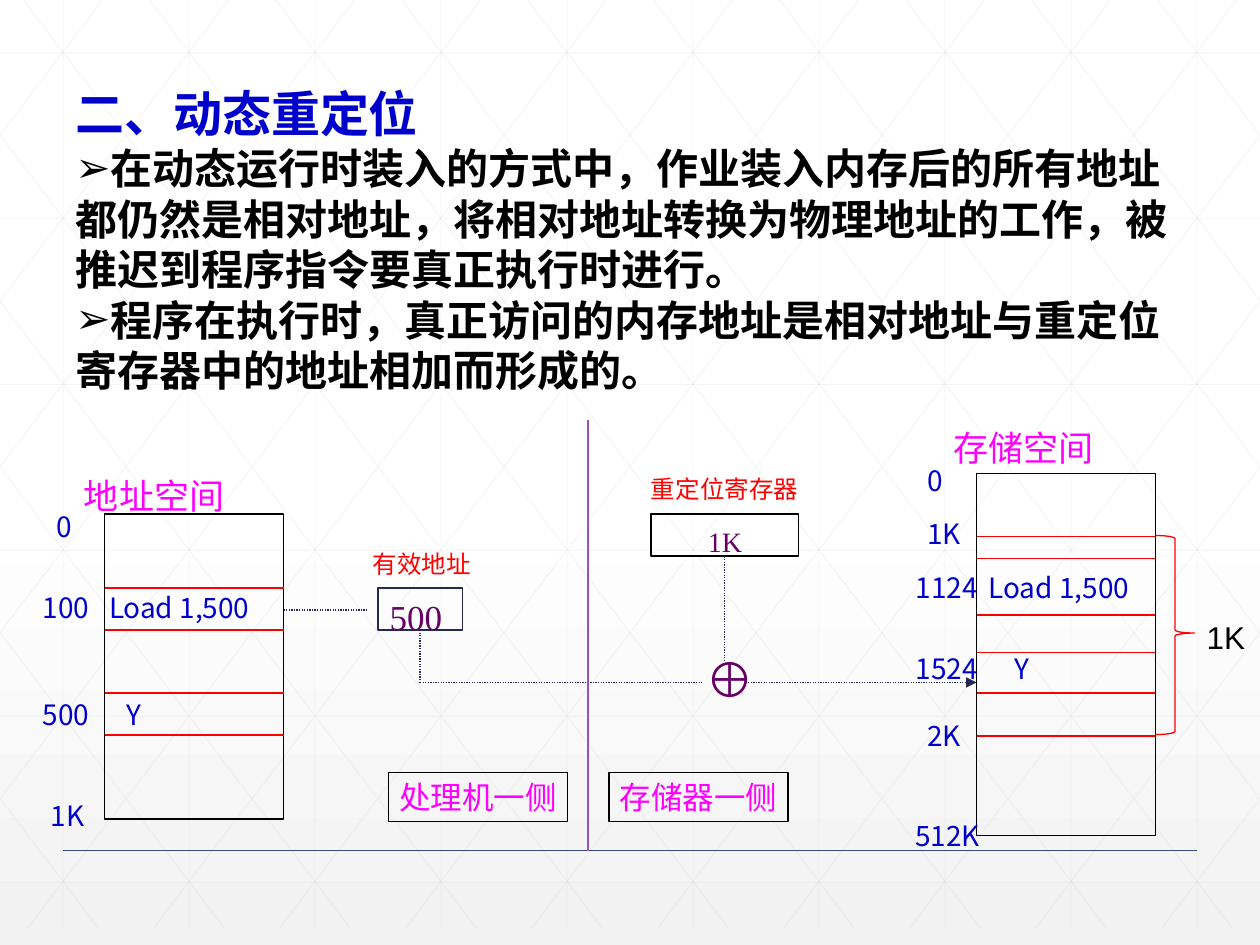
from lxml.etree import SubElement
from pptx import Presentation
from pptx.dml.color import RGBColor
from pptx.enum.dml import MSO_LINE
from pptx.enum.shapes import MSO_CONNECTOR, MSO_SHAPE
from pptx.enum.text import MSO_ANCHOR, PP_ALIGN
from pptx.oxml.ns import qn
from pptx.util import Pt

WHITE = RGBColor(0xFF, 0xFF, 0xFF)
PALE = RGBColor(0xF2, 0xF2, 0xF2)
GRID = RGBColor(0xD9, 0xD9, 0xD9)
BLACK = RGBColor(0x00, 0x00, 0x00)
BLUE = RGBColor(0x00, 0x00, 0xCC)
NAVY = RGBColor(0x24, 0x28, 0x52)
RULE = RGBColor(0x38, 0x4C, 0x81)
RED = RGBColor(0xFF, 0x00, 0x00)
MAGENTA = RGBColor(0xFF, 0x00, 0xFF)
PURPLE = RGBColor(0x66, 0x00, 0x66)
VIOLET = RGBColor(0x94, 0x54, 0xC3)
SANS = "Noto Sans CJK SC"
SERIF = "Times New Roman"
WIDTH, HEIGHT = 720, 540
GRID_BOTTOM = 530.64


def add_line(page, start, end, color, weight=0.75, dotted=False, arrow=False, alpha=None):
    line = page.shapes.add_connector(
        MSO_CONNECTOR.STRAIGHT, *(Pt(value) for value in (*start, *end)))
    line.line.color.rgb = color
    line.line.width = Pt(weight)
    if dotted:
        line.line.dash_style = MSO_LINE.ROUND_DOT
    properties = line._element.spPr
    outline = properties.find(qn("a:ln"))
    if arrow:
        SubElement(outline, qn("a:tailEnd"), type="triangle")
    if alpha:
        color_element = outline.find(qn("a:solidFill")).find(qn("a:srgbClr"))
        SubElement(color_element, qn("a:alpha"), val=str(alpha * 1000))
    SubElement(properties, qn("a:effectLst"))


def add_span(para, text, size, color, font=SANS, bold=False):
    span = para.add_run()
    span.text = text
    span.font.size = Pt(size)
    span.font.bold = bold
    span.font.color.rgb = color
    span.font.name = font
    SubElement(span._r.get_or_add_rPr(), qn("a:ea"), typeface=SANS)


def add_label(page, text, left, middle, size=16, color=BLUE, font=SANS,
              width=90, align=PP_ALIGN.LEFT):
    height = size * 1.5
    box = page.shapes.add_textbox(Pt(left), Pt(middle - height / 2), Pt(width), Pt(height))
    frame = box.text_frame
    frame.margin_left = frame.margin_right = frame.margin_top = frame.margin_bottom = 0
    frame.word_wrap = True
    frame.vertical_anchor = MSO_ANCHOR.MIDDLE
    para = frame.paragraphs[0]
    para.alignment = align
    add_span(para, text, size, color, font)


def add_outline(page, left, top, width, height, color=BLACK, kind=MSO_SHAPE.RECTANGLE):
    shape = page.shapes.add_shape(kind, Pt(left), Pt(top), Pt(width), Pt(height))
    shape.shadow.inherit = False
    shape.fill.background()
    shape.line.color.rgb = color
    shape.line.width = Pt(0.75)
    return shape


def add_side_name(page, text, left):
    frame = add_outline(page, left, 441.36, 102.24, 28.08).text_frame
    frame.word_wrap = False
    frame.vertical_anchor = MSO_ANCHOR.MIDDLE
    para = frame.paragraphs[0]
    para.alignment = PP_ALIGN.CENTER
    add_span(para, text, 18, MAGENTA, SERIF)


def add_memory(page, left, top, height, dividers, labels):
    add_outline(page, left, top, 102.24, height)
    for level in dividers:
        add_line(page, (left, level), (left + 102.24, level), RED)
    for text, label_left, middle in labels:
        add_label(page, text, label_left, middle)


def add_backdrop(page):
    fill = page.background.fill
    fill.gradient()
    fill.gradient_angle = 270
    for stop, position, color in zip(fill.gradient_stops, (0.53, 1), (WHITE, PALE)):
        stop.position = position
        stop.color.rgb = color
    segments = []
    for column in range(10):
        x = 36 + 72 * column
        segments.append(((x, 0), (x, GRID_BOTTOM)))
    for row in range(6):
        y = 30.24 + 94.75 * row
        segments.append(((0, y), (WIDTH, y)))
    slope = GRID_BOTTOM / 403
    for step in range(-5, 10):
        x = 13.4 + 72 * step
        first, last = max(x, 0), min(x + 403, WIDTH)
        top, bottom = (first - x) * slope, (last - x) * slope
        segments.append(((first, top), (last, bottom)))
        segments.append(((WIDTH - first, top), (WIDTH - last, bottom)))
    for start, end in segments:
        add_line(page, start, end, GRID, 0.5, alpha=25)
    add_line(page, (36, 486), (684, 486), RULE, 1)


def add_explanation(page):
    box = page.shapes.add_textbox(Pt(36), Pt(41.76), Pt(653.76), Pt(220.32))
    frame = box.text_frame
    frame.word_wrap = True
    title = frame.paragraphs[0]
    title.line_spacing = Pt(36)
    add_span(title, "二、动态重定位", 28, BLUE, bold=True)
    for text in (
        "在动态运行时装入的方式中，作业装入内存后的所有地址都仍然是相对地址，"
        "将相对地址转换为物理地址的工作，被推迟到程序指令要真正执行时进行。",
        "程序在执行时，真正访问的内存地址是相对地址与重定位寄存器中的地址相加而形成的。",
    ):
        para = frame.add_paragraph()
        para.line_spacing = Pt(28.9)
        properties = para._p.get_or_add_pPr()
        properties.set("marL", "0")
        properties.set("indent", "0")
        SubElement(properties, qn("a:buFont"), typeface="Arial")
        SubElement(properties, qn("a:buChar"), char="➢")
        add_span(para, text, 24, BLACK, bold=True)


def add_address_space(page):
    add_label(page, "地址空间", 48, 283, 20, MAGENTA)
    add_memory(page, 59.76, 293.76, 174.24, (336, 360, 396, 420), (
        ("0", 32.5, 300.5), ("100", 24.5, 347), ("Load 1,500", 62.3, 347),
        ("500", 24.5, 408), ("Y", 72.5, 408), ("1K", 29, 466)))


def add_storage_space(page):
    add_label(page, "存储空间", 545, 256, 20, MAGENTA)
    add_memory(page, 558, 270.72, 206.64, (306.72, 319, 351.36, 373, 396, 420.5), (
        ("0", 530, 274.5), ("1K", 530, 305), ("1124", 523.4, 335.6),
        ("Load 1,500", 565, 335.6), ("1524", 523.4, 382), ("Y", 579.5, 382),
        ("2K", 530, 420), ("512K", 523, 477.3)))
    brace = add_outline(page, 660.24, 306, 22.32, 113.76, RED, MSO_SHAPE.RIGHT_BRACE)
    brace.adjustments[0] = 0.08
    brace.adjustments[1] = 0.49
    add_label(page, "1K", 689.5, 364, 18, BLACK, "Arial", width=30)


def add_translation(page):
    add_label(page, "有效地址", 213, 322, 14, RED, SERIF)
    add_outline(page, 216, 336, 48.24, 24, NAVY)
    add_label(page, "500", 222.7, 352, 20, PURPLE, SERIF, width=40)
    add_label(page, "重定位寄存器", 372, 279, 14, RED, SERIF)
    add_outline(page, 372, 293.76, 84.24, 24)
    add_label(page, "1K", 404.5, 309.5, 16, PURPLE, SERIF, width=40)
    for start, end in (((162, 348.5), (210, 348.5)), ((240, 360), (240, 390)),
                       ((240, 390), (402, 390)), ((414, 318), (414, 378))):
        add_line(page, start, end, NAVY, dotted=True)
    add_line(page, (426, 390), (558, 390), NAVY, dotted=True, arrow=True)
    add_label(page, "⊕", 396, 387.4, 28, PURPLE, SERIF, 41.76, PP_ALIGN.CENTER)


def main():
    deck = Presentation()
    deck.slide_width, deck.slide_height = Pt(WIDTH), Pt(HEIGHT)
    page = deck.slides.add_slide(deck.slide_layouts[6])
    add_backdrop(page)
    add_explanation(page)
    add_address_space(page)
    add_storage_space(page)
    add_translation(page)
    add_line(page, (336, 240), (336, 486), VIOLET)
    add_side_name(page, "处理机一侧", 222)
    add_side_name(page, "存储器一侧", 348)
    deck.save("out.pptx")


if __name__ == "__main__":
    main()
